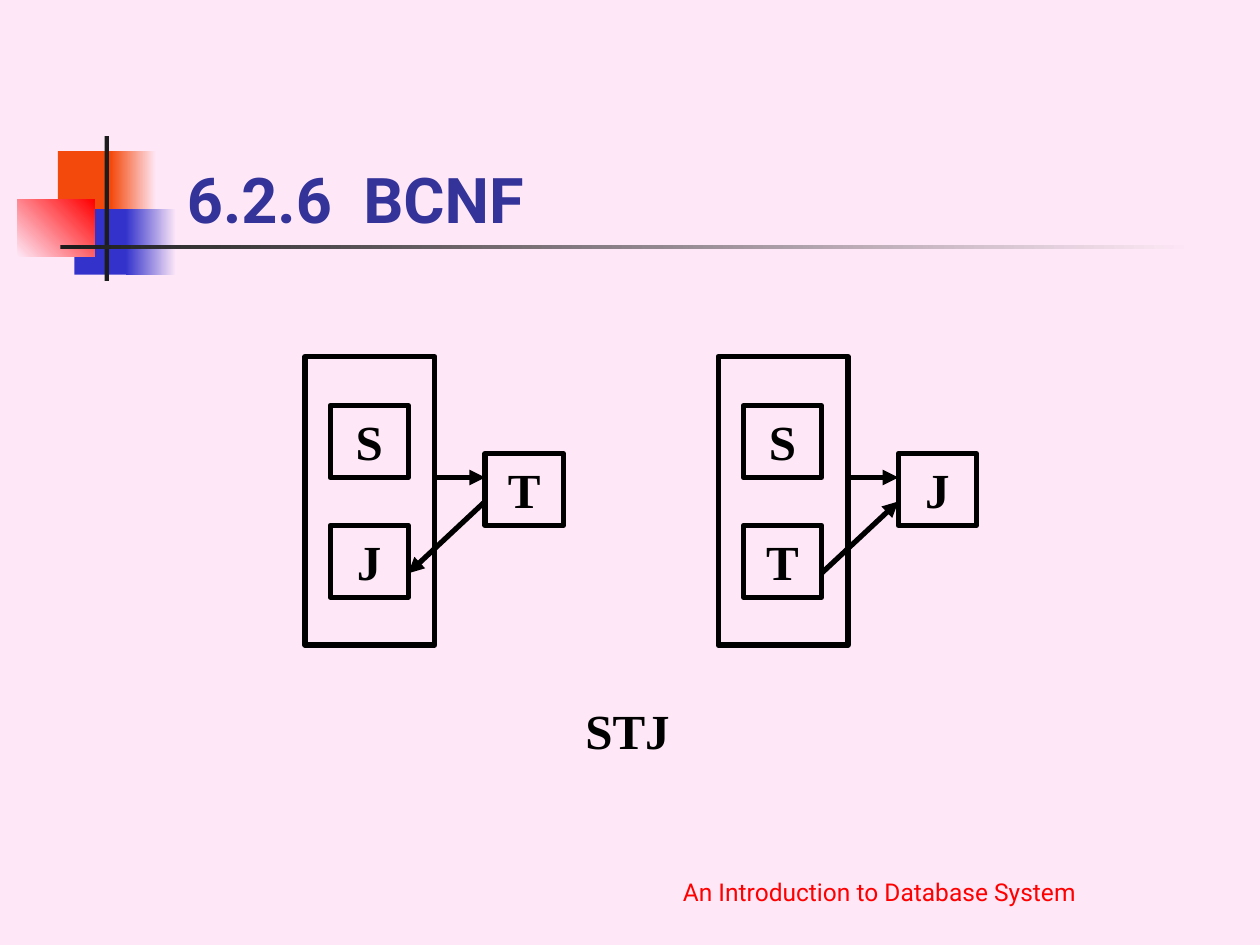
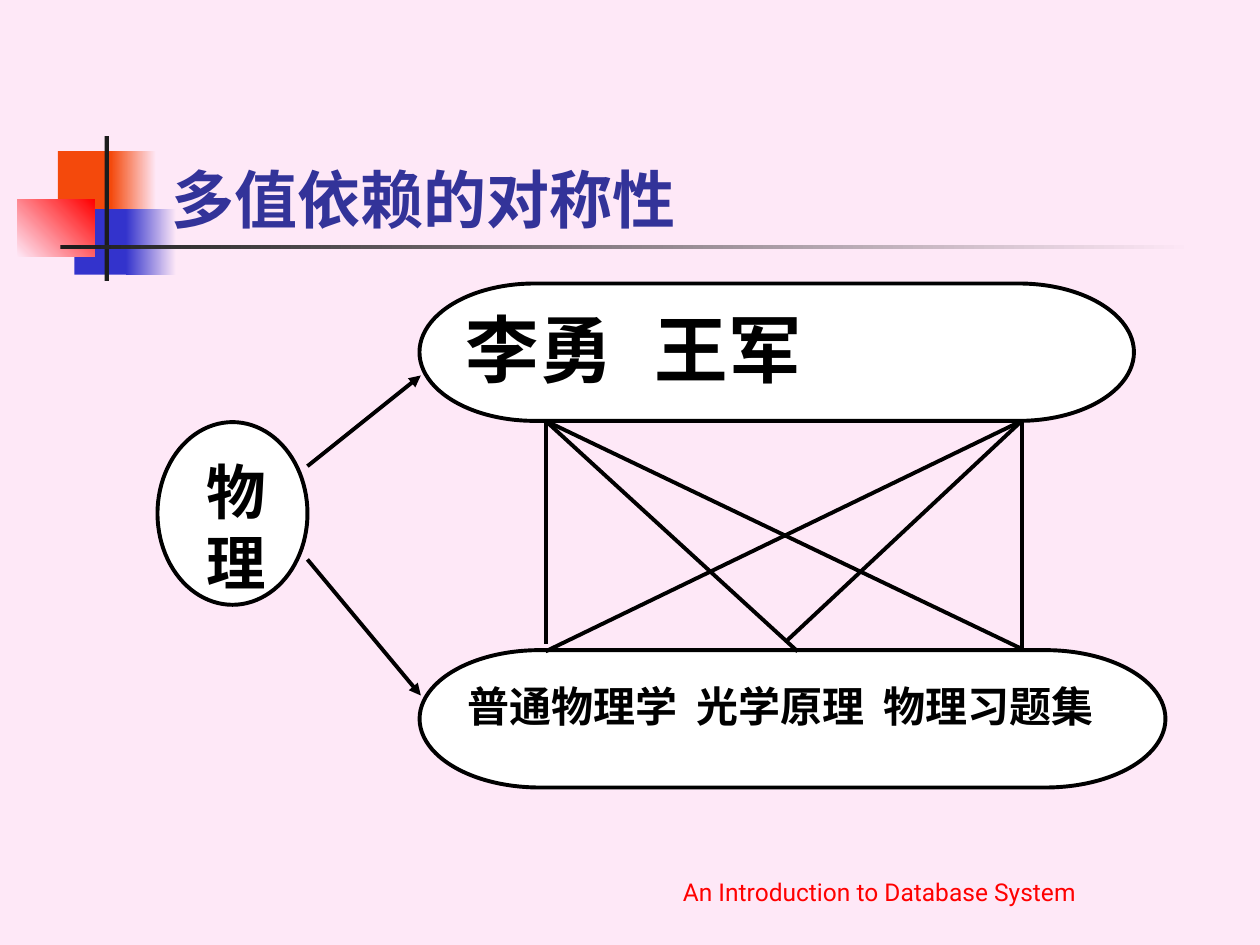
"""Build two database slides: a BCNF diagram and a multivalued dependency diagram."""
from dataclasses import dataclass

from pptx import Presentation
from pptx.dml.color import RGBColor
from pptx.enum.shapes import MSO_CONNECTOR, MSO_SHAPE
from pptx.enum.text import MSO_ANCHOR, PP_ALIGN
from pptx.oxml.ns import qn
from pptx.util import Inches, Pt
from lxml.etree import SubElement


@dataclass(frozen=True)
class Theme:
    page: str = "FEE8F7"
    ink: str = "000000"
    dark: str = "1C1C1C"
    paper: str = "FFFFFF"
    orange: str = "F4490C"
    blue: str = "3333CC"
    red: str = "FF0000"
    title: str = "333399"
    sans: str = "Roboto"
    serif: str = "Times New Roman"
    head: int = 36
    foot: int = 14
    label: int = 28
    topic: int = 34
    names: int = 42
    books: int = 24
    thick: float = 3
    thin: float = 2.25


LOOK = Theme()
COLS, ROWS = 100, 75
WIDE, HIGH = Inches(10), Inches(7.5)

FOOTER = "An Introduction to Database System"
BADGE = [
    ((4.6, 12, 4.8, 5.2), (LOOK.orange,), 0),
    ((8.8, 12, 3.6, 5.2), (LOOK.orange, LOOK.page), 0),
    ((5.9, 16.6, 4.6, 5.2), (LOOK.blue,), 0),
    ((10, 16.6, 4, 5.2), (LOOK.blue, LOOK.page), 0),
    ((1.4, 15.8, 6.1, 4.6), (LOOK.page, LOOK.red), 45),
    ((8.3, 10.8, 0.35, 11.5), (LOOK.dark,), 0),
    ((4.8, 19.45, 90, 0.35), (LOOK.dark, LOOK.page), 0),
]

BCNF = {
    "title": "6.2.6  BCNF",
    "note": "STJ",
    "maps": [
        {"key": "SJ", "goal": "T", "back": True},
        {"key": "ST", "goal": "J", "back": False},
    ],
}
MULTI = {
    "title": "多值依赖的对称性",
    "topic": ["物", "理"],
    "names": "李勇\t王军",
    "books": "普通物理学  光学原理  物理习题集",
}


def across(cols):
    return int(WIDE * cols / COLS)


def down(rows):
    return int(HIGH * rows / ROWS)


def place(box):
    left, top, width, height = box
    return across(left), down(top), across(width), down(height)


def hue(code):
    return RGBColor.from_string(code)


def write(shape, lines, size, font=LOOK.serif, color=LOOK.ink, bold=True,
          align=PP_ALIGN.LEFT, anchor=MSO_ANCHOR.TOP, top=0.5, indent=0, tab=0):
    """Fill a shape with lines of text in one format."""
    frame = shape.text_frame
    frame.word_wrap = True
    frame.vertical_anchor = anchor
    frame.margin_left = frame.margin_right = across(1)
    frame.margin_top, frame.margin_bottom = down(top), down(0.5)
    for count, line in enumerate(lines):
        para = frame.add_paragraph() if count else frame.paragraphs[0]
        para.alignment = align
        props = para._p.get_or_add_pPr()
        props.set("marL", str(across(indent)))
        props.set("indent", "0")
        if tab:
            stops = SubElement(props, qn("a:tabLst"))
            SubElement(stops, qn("a:tab"), pos=str(across(tab)), algn="l")
        run = para.add_run()
        run.text = line
        run.font.name, run.font.size, run.font.bold = font, Pt(size), bold
        run.font.color.rgb = hue(color)


def label(slide, box, line, size, **style):
    write(slide.shapes.add_textbox(*place(box)), [line], size, **style)


def draw(slide, box, kind=MSO_SHAPE.RECTANGLE, fill=(), angle=0, line=0):
    """Add a plain shape with no fill, one colour or a blend of two."""
    shape = slide.shapes.add_shape(kind, *place(box))
    shape.shadow.inherit = False
    if len(fill) == 2:
        shape.fill.gradient()
        shape.fill.gradient_angle = angle
        for stop, code in zip(shape.fill.gradient_stops, fill):
            stop.color.rgb = hue(code)
    elif fill:
        shape.fill.solid()
        shape.fill.fore_color.rgb = hue(fill[0])
    else:
        shape.fill.background()
    if line:
        shape.line.color.rgb = hue(LOOK.ink)
        shape.line.width = Pt(line)
    else:
        shape.line.fill.background()
    return shape


def link(slide, start, end, width, arrow=False):
    wire = slide.shapes.add_connector(
        MSO_CONNECTOR.STRAIGHT, across(start[0]), down(start[1]),
        across(end[0]), down(end[1]))
    wire.line.color.rgb = hue(LOOK.ink)
    wire.line.width = Pt(width)
    if arrow:
        SubElement(wire.line._get_or_add_ln(), qn("a:tailEnd"), type="triangle")
    SubElement(wire._element.spPr, qn("a:effectLst"))


def start(deck, title, indent=0):
    slide = deck.slides.add_slide(deck.slide_layouts[6])
    for box, fill, angle in BADGE:
        draw(slide, box, fill=fill, angle=angle)
    label(slide, (43.7, 67.4, 52.2, 5), FOOTER, LOOK.foot, font=LOOK.sans,
          color=LOOK.red, bold=False, align=PP_ALIGN.CENTER,
          anchor=MSO_ANCHOR.BOTTOM)
    label(slide, (12.6, 6.7, 85.2, 12.5), title, LOOK.head, font=LOOK.sans,
          color=LOOK.title, anchor=MSO_ANCHOR.BOTTOM, indent=indent)
    return slide


def show_bcnf(deck):
    slide = start(deck, BCNF["title"], indent=1.25)
    first, pitch, top = 24.2, 32.8, 28.3
    side, tall, step = 6.2, 5.7, 9.5
    for count, item in enumerate(BCNF["maps"]):
        left = first + count * pitch
        inner, outer = left + 2, left + 14.3
        draw(slide, (left, top, 10.3, 22.9), line=LOOK.thick)
        cells = [(inner, top + 3.9 + row * step, name)
                 for row, name in enumerate(item["key"])]
        cells.append((outer, top + 7.7, item["goal"]))
        for x, y, name in cells:
            cell = draw(slide, (x, y, side, tall), line=LOOK.thick)
            write(cell, [name], LOOK.label, align=PP_ALIGN.CENTER)
        link(slide, (left + 10.3, top + 9.6), (outer, top + 9.6), LOOK.thick, True)
        ends = [(inner + side, top + 17.2), (outer, top + 11.5)]
        if item["back"]:
            ends.reverse()
        link(slide, *ends, LOOK.thick, True)
    label(slide, (44.7, 55.1, 10.2, 5.7), BCNF["note"], LOOK.label,
          align=PP_ALIGN.CENTER)


def show_multi(deck):
    slide = start(deck, MULTI["title"])
    pill, left, tall = MSO_SHAPE.FLOWCHART_TERMINATOR, 33.3, 10.9
    white = {"fill": (LOOK.paper,), "line": LOOK.thin}
    topic = draw(slide, (12.5, 33.5, 11.9, 14.5), MSO_SHAPE.OVAL, **white)
    write(topic, MULTI["topic"], LOOK.topic, indent=1.15)
    books = draw(slide, (left, 51.6, 59.2, tall), pill, **white)
    write(books, [MULTI["books"]], LOOK.books, top=0.8)
    names = draw(slide, (left, 22.5, 56.7, tall), pill, **white)
    write(names, [MULTI["names"]], LOOK.names, top=0, tab=34.2)
    for low, high in [(37, 29.8), (44.4, 55.2)]:
        link(slide, (24.4, low), (33.4, high), LOOK.thin, True)
    near, far, edge = 43.3, 81.1, 33.4
    fans = {
        near: [(near, 51.1), (63.3, 51.7), (far, 51.5)],
        far: [(near, 51.7), (62.5, 50.8), (far, 51.5)],
    }
    for x, ends in fans.items():
        for end in ends:
            link(slide, (x, edge), end, LOOK.thin)


def main():
    deck = Presentation()
    deck.slide_width, deck.slide_height = WIDE, HIGH
    back = deck.slide_master.background.fill
    back.solid()
    back.fore_color.rgb = hue(LOOK.page)
    show_bcnf(deck)
    show_multi(deck)
    deck.save("out.pptx")


if __name__ == "__main__":
    main()
